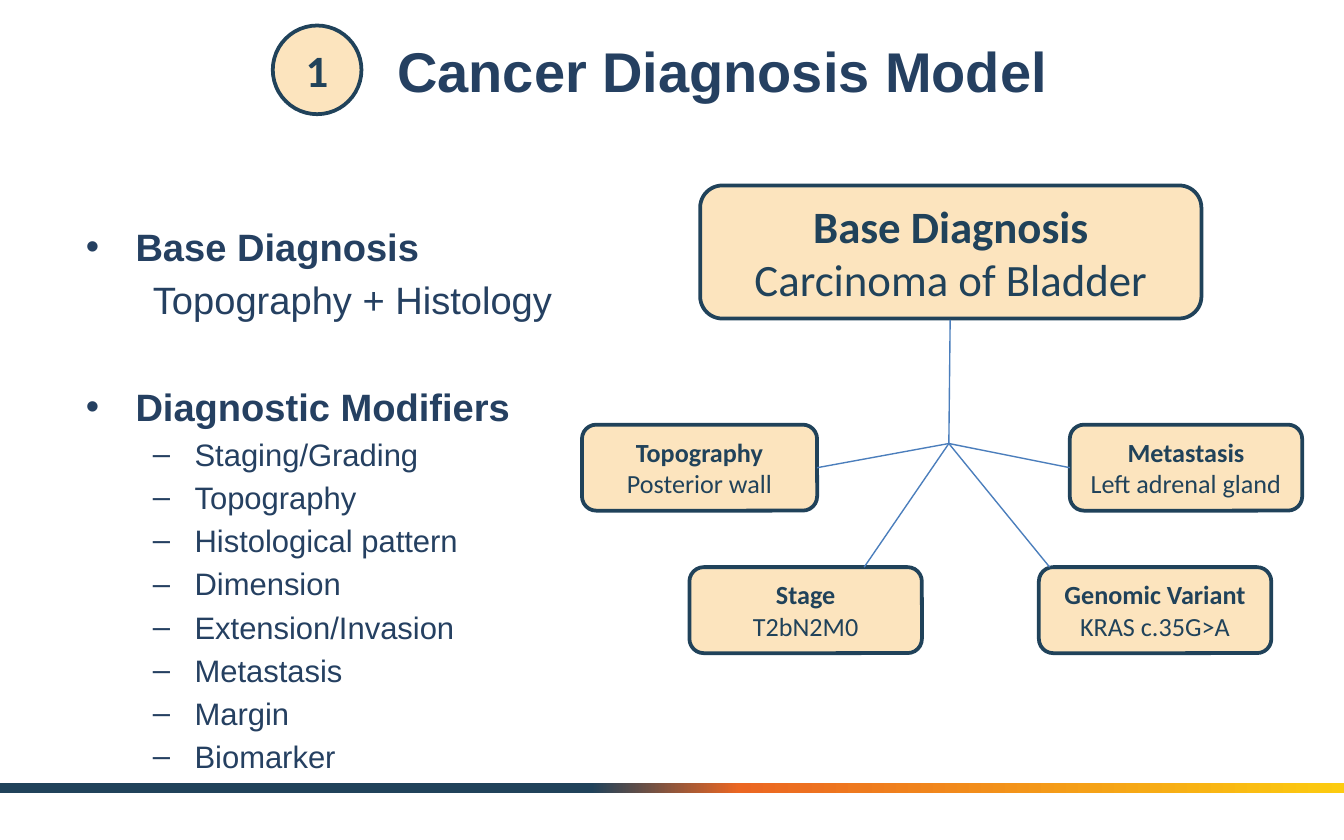
"""Build the cancer diagnosis model slide."""
from copy import deepcopy

from lxml import etree
from pptx import Presentation
from pptx.dml.color import RGBColor
from pptx.enum import shapes, text
from pptx.oxml import ns
from pptx.util import Inches, Pt

COLORS = {"navy": "254061", "teal": "20425A", "amber": "F5A118", "link": "4B7EBC",
          "orange": "EB6622", "yellow": "FCCB10"}
TITLE = "Cancer Diagnosis Model"
MODIFIERS = ["Staging/Grading", "Topography", "Histological pattern", "Dimension",
             "Extension/Invasion", "Metastasis", "Margin", "Biomarker"]
HEAD = {"size": 20.4, "bold": True, "left": 0.37, "hang": 0.37, "bullet": "•"}
DETAIL = {"size": 20.4, "bold": False, "left": 0.81, "hang": 0.31, "bullet": None}
ITEM = {"size": 16.6, "bold": False, "left": 0.81, "hang": 0.31, "bullet": "–"}
LINE_HEIGHT = 1.15
OUTLINE = [("Base Diagnosis", HEAD, 0), ("Topography + Histology", DETAIL, 4.9),
           ("Diagnostic Modifiers", HEAD, 33.8)]
OUTLINE += [(name, ITEM, 4.1) for name in MODIFIERS]
ROUNDED, OVAL = shapes.MSO_SHAPE.ROUNDED_RECTANGLE, shapes.MSO_SHAPE.OVAL
NODES = [
    (ROUNDED, (5.21, 1.38, 3.73, 0.99), 24, ["Base Diagnosis", "Carcinoma of Bladder"]),
    (ROUNDED, (4.33, 3.16, 1.75, 0.64), 14, ["Topography", "Posterior wall"]),
    (ROUNDED, (5.13, 4.22, 1.73, 0.64), 14, ["Stage", "T2bN2M0"]),
    (ROUNDED, (7.96, 3.16, 1.73, 0.64), 14, ["Metastasis", "Left adrenal gland"]),
    (ROUNDED, (7.73, 4.22, 1.73, 0.64), 14, ["Genomic Variant", "KRAS c.35G>A"]),
    (OVAL, (2.03, 0.19, 0.66, 0.66), 24, ["1"]),
]
HUB = (7.06, 3.3)
LINK_ENDS = [(7.07, 2.38), (6.08, 3.48), (7.96, 3.48), (7.81, 4.22), (6.43, 4.22)]
STRIPE_STOPS = [(0.44, "teal"), (0.55, "orange"), (1, "yellow")]


def color(name):
    return RGBColor.from_string(COLORS[name])


def inches(values):
    return [Inches(value) for value in values]


def style(font, face, size, name, bold):
    font.name, font.size, font.bold = face, Pt(size), bold
    font.color.rgb = color(name)


def add_stripe(page):
    stripe = page.shapes.add_shape(shapes.MSO_SHAPE.RECTANGLE, *inches((0, 5.83, 10, 0.07)))
    stripe.shadow.inherit = False
    stripe.line.fill.background()
    stripe.fill.gradient()
    stripe.fill.gradient_angle = 0
    stops = stripe.fill._fill._gradFill.find(ns.qn("a:gsLst"))
    stops.append(deepcopy(stops[0]))
    for stop, (position, name) in zip(stripe.fill.gradient_stops, STRIPE_STOPS):
        stop.position, stop.color.rgb = position, color(name)


def add_title(page):
    title = page.shapes.title
    title.left, title.top, title.width, title.height = inches((1.25, 0.14, 8.25, 0.76))
    title.text_frame.text = TITLE
    title.text_frame.vertical_anchor = text.MSO_ANCHOR.MIDDLE
    para = title.text_frame.paragraphs[0]
    para.alignment = text.PP_ALIGN.CENTER
    style(para.font, "Arial", 30, "navy", True)


def add_outline(page):
    frame = page.shapes.add_textbox(*inches((0.54, 1.63, 4.04, 4.03))).text_frame
    frame.word_wrap = True
    for index, (words, level, gap) in enumerate(OUTLINE):
        para = frame.add_paragraph() if index else frame.paragraphs[0]
        para.text = words
        para.line_spacing = Pt(level["size"] * LINE_HEIGHT)
        para.space_before = Pt(gap)
        style(para.font, "Arial", level["size"], "navy", level["bold"])
        properties = para._p.get_or_add_pPr()
        properties.set("marL", str(Inches(level["left"])))
        properties.set("indent", str(-Inches(level["hang"])))
        if level["bullet"]:
            defaults = properties.find(ns.qn("a:defRPr"))
            defaults.addprevious(etree.Element(ns.qn("a:buFont"), typeface="Arial"))
            defaults.addprevious(etree.Element(ns.qn("a:buChar"), char=level["bullet"]))


def add_node(page, kind, place, size, lines):
    node = page.shapes.add_shape(kind, *inches(place))
    node.shadow.inherit = False
    node.fill.solid()
    node.fill.fore_color.rgb = color("amber")
    tint = node.fill._xPr.find(ns.qn("a:solidFill"))[0]
    etree.SubElement(tint, ns.qn("a:alpha"), val="28000")
    node.line.color.rgb, node.line.width = color("teal"), Pt(2)
    frame = node.text_frame
    frame.text = "\n".join(lines)
    frame.vertical_anchor = text.MSO_ANCHOR.MIDDLE
    for index, para in enumerate(frame.paragraphs):
        para.alignment = text.PP_ALIGN.CENTER
        style(para.font, "Calibri", size, "teal", index == 0)


def add_link(page, end):
    link = page.shapes.add_connector(shapes.MSO_CONNECTOR.STRAIGHT, *inches(HUB + end))
    link.line.color.rgb, link.line.width = color("link"), Pt(0.75)
    etree.SubElement(link._element.spPr, ns.qn("a:effectLst"))


def main():
    deck = Presentation()
    deck.slide_width, deck.slide_height = inches((10, 6.25))
    page = deck.slides.add_slide(deck.slide_layouts[5])
    add_stripe(page)
    add_title(page)
    add_outline(page)
    for node in NODES:
        add_node(page, *node)
    for end in LINK_ENDS:
        add_link(page, end)
    deck.save("out.pptx")


if __name__ == "__main__":
    main()
